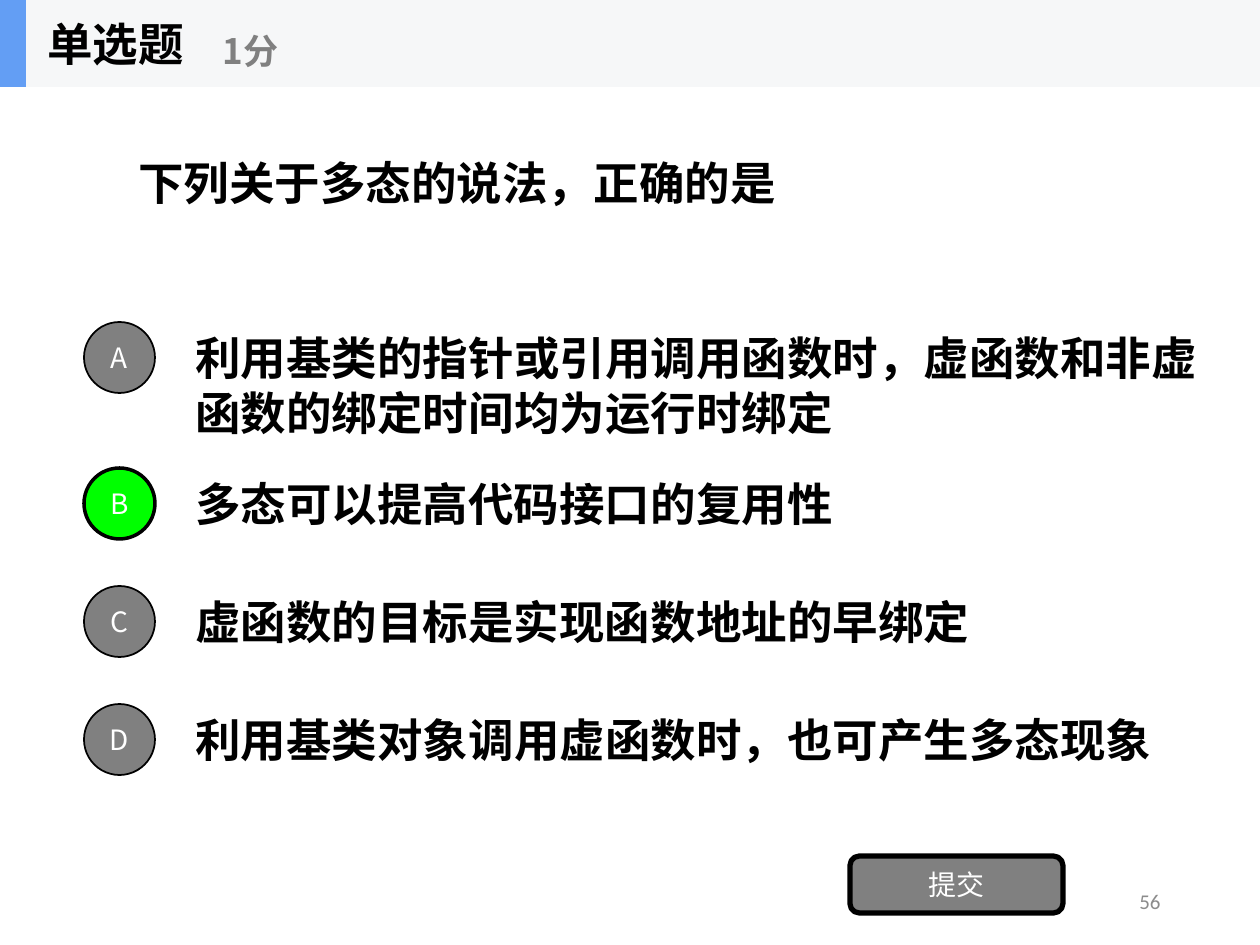
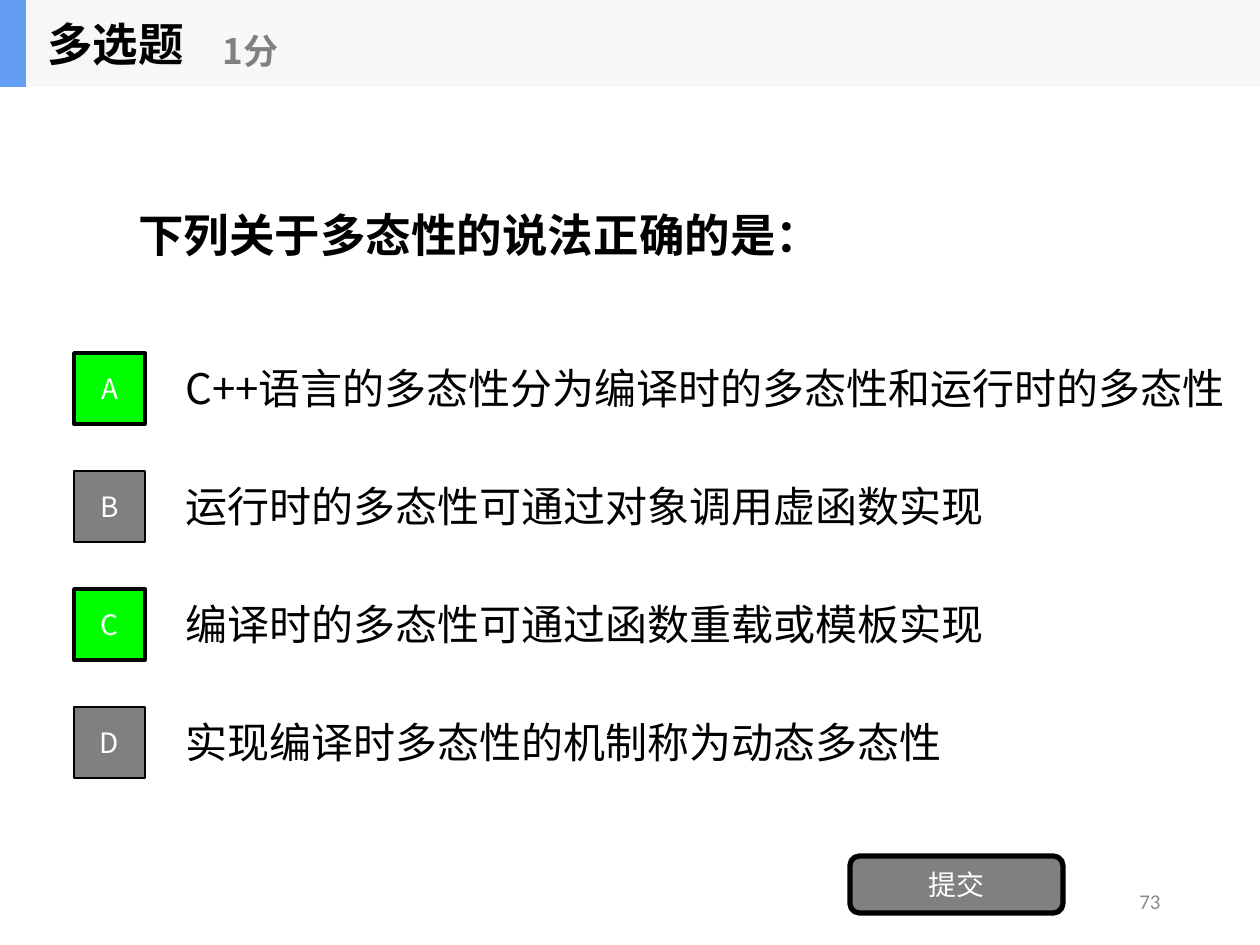
from dataclasses import dataclass

from lxml import etree
from pptx import Presentation
from pptx.dml.color import RGBColor
from pptx.enum.shapes import MSO_SHAPE
from pptx.enum.text import MSO_ANCHOR, PP_ALIGN
from pptx.oxml.ns import qn
from pptx.util import Emu, Pt

RECTANGLE, ELLIPSE = MSO_SHAPE.RECTANGLE, MSO_SHAPE.OVAL
ROUNDED = MSO_SHAPE.ROUNDED_RECTANGLE
MIDDLE = MSO_ANCHOR.MIDDLE
LEFT, CENTER, RIGHT = PP_ALIGN.LEFT, PP_ALIGN.CENTER, PP_ALIGN.RIGHT

COLORS = {
    "text": "000000",
    "white": "FFFFFF",
    "gray": "808080",
    "number": "8C8C8C",
    "correct": "00FF00",
    "band": "F6F7F8",
    "accent": "639EF4",
}
CJK_FONT = "Noto Sans CJK SC"
PIXEL = 914400 / 126
SLIDE_SIZE = (1260, 945)
BAND_HEIGHT = 87
OPTION_STEP = 118
LABEL_HEIGHT = 88
MARKER_SIZE = 71
MARKER_DROP = 9  # from the top of a label to the top of its marker


@dataclass(frozen=True)
class Style:
    size: int
    color: str = "text"
    bold: bool = False
    align: PP_ALIGN = LEFT
    font: str = CJK_FONT


HEADING = Style(26, bold=True)
PLAIN = Style(24)
POINTS = Style(20, "gray", bold=True)
BUTTON = Style(16, "white", align=CENTER)
NUMBER = Style(12, "number", align=RIGHT, font="Calibri")


@dataclass(frozen=True)
class Option:
    lines: tuple[str, ...]
    correct: bool = False
    width: int = 882
    marker_lift: int = 0


@dataclass(frozen=True)
class Question:
    kind: str
    prompt: str
    prompt_height: int
    marker: MSO_SHAPE
    marker_left: int
    label_left: int
    label_top: int
    style: Style
    options: tuple[Option, ...]
    number: str


QUESTIONS = (
    Question(
        "单选题", "下列关于多态的说法，正确的是", 190,
        ELLIPSE, 84, 183, 341, HEADING,
        (
            Option(("利用基类的指针或引用调用函数时，虚函数和非虚",
                    "函数的绑定时间均为运行时绑定"), width=1040, marker_lift=28),
            Option(("多态可以提高代码接口的复用性",), correct=True),
            Option(("虚函数的目标是实现函数地址的早绑定",)),
            Option(("利用基类对象调用虚函数时，也可产生多态现象",), width=988),
        ),
        "56",
    ),
    Question(
        "多选题", "下列关于多态性的说法正确的是：", 295,
        RECTANGLE, 74, 173, 344, PLAIN,
        (
            Option(("C++语言的多态性分为编译时的多态性和运行时的多态性",),
                   correct=True, width=1080),
            Option(("运行时的多态性可通过对象调用虚函数实现",)),
            Option(("编译时的多态性可通过函数重载或模板实现",), correct=True),
            Option(("实现编译时多态性的机制称为动态多态性",)),
        ),
        "73",
    ),
)


def px(*values: int) -> list[Emu]:
    return [Emu(round(value * PIXEL)) for value in values]


def rgb(name: str) -> RGBColor:
    return RGBColor.from_string(COLORS[name])


def write(shape, lines: tuple[str, ...], style: Style, wrap: bool = True) -> None:
    frame = shape.text_frame
    frame.word_wrap = wrap
    frame.vertical_anchor = MIDDLE
    for index, line in enumerate(lines):
        para = frame.add_paragraph() if index else frame.paragraphs[0]
        para.alignment = style.align
        span = para.add_run()
        span.text = line
        values = {"name": style.font, "size": Pt(style.size), "bold": style.bold}
        for name, value in values.items():
            setattr(span.font, name, value)
        span.font.color.rgb = rgb(style.color)
        # East Asian characters take their typeface from a separate element
        east_asian = etree.SubElement(span.font._element, qn("a:ea"))
        east_asian.set("typeface", style.font)


def add_text(shapes, place: tuple[int, ...], lines: tuple[str, ...],
             style: Style, wrap: bool = True) -> None:
    write(shapes.add_textbox(*px(*place)), lines, style, wrap)


def add_block(shapes, kind: MSO_SHAPE, place: tuple[int, ...], fill: str,
              line_width: int = 0, text: str = "") -> None:
    block = shapes.add_shape(kind, *px(*place))
    block.shadow.inherit = False
    block.fill.solid()
    block.fill.fore_color.rgb = rgb(fill)
    if line_width:
        block.line.color.rgb = rgb("text")
        block.line.width = Pt(line_width)
    else:
        block.line.fill.background()
    if text:
        write(block, (text,), BUTTON)


def add_header(slide, kind: str) -> None:
    shapes = slide.shapes.add_group_shape().shapes
    add_block(shapes, RECTANGLE, (0, 0, SLIDE_SIZE[0], BAND_HEIGHT), "band")
    add_block(shapes, RECTANGLE, (0, 0, 26, BAND_HEIGHT), "accent")
    add_text(shapes, (35, 0, 262, BAND_HEIGHT), (kind,), HEADING, wrap=False)
    add_text(shapes, (210, 15, 315, 71), ("1分",), POINTS, wrap=False)


def add_options(slide, question: Question) -> None:
    for index, option in enumerate(question.options):
        top = question.label_top + index * OPTION_STEP
        add_text(slide.shapes, (question.label_left, top, option.width, LABEL_HEIGHT),
                 option.lines, question.style, wrap=False)
        marker_top = top + MARKER_DROP - option.marker_lift
        add_block(slide.shapes, question.marker,
                  (question.marker_left, marker_top, MARKER_SIZE, MARKER_SIZE),
                  "correct" if option.correct else "gray",
                  2 if option.correct else 1, "ABCD"[index])


def add_question(deck, question: Question) -> None:
    slide = deck.slides.add_slide(deck.slide_layouts[6])
    # Page number and prompt
    add_text(slide.shapes, (890, 876, 283, 50), (question.number,), NUMBER)
    add_text(slide.shapes, (126, BAND_HEIGHT, 1008, question.prompt_height),
             (question.prompt,), HEADING)
    # Answers, submit button and header band
    add_options(slide, question)
    add_block(slide.shapes, ROUNDED, (850, 856, 213, 57), "gray", 3, "提交")
    add_header(slide, question.kind)


deck = Presentation()
deck.slide_width, deck.slide_height = px(*SLIDE_SIZE)
for question in QUESTIONS:
    add_question(deck, question)
deck.save("out.pptx")
